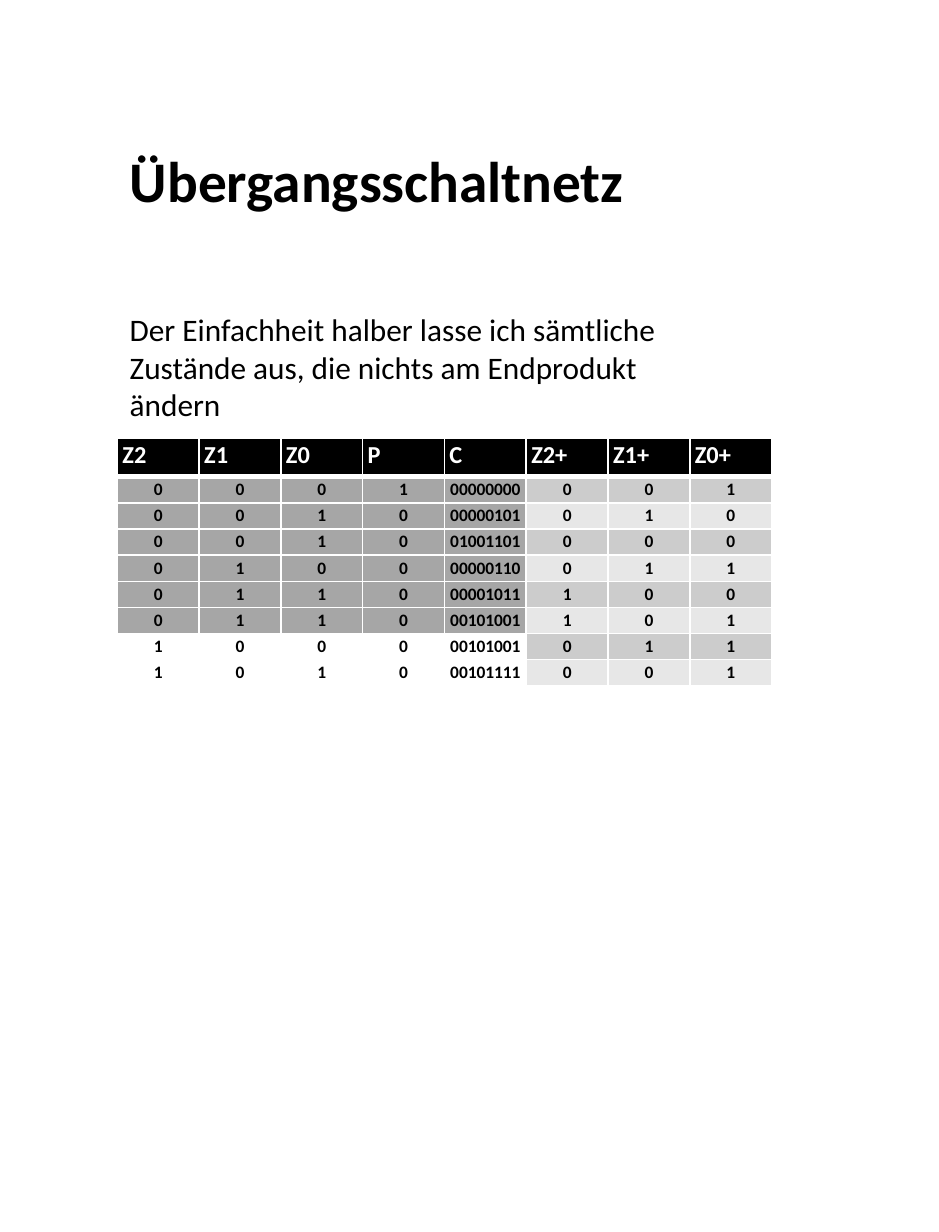
from lxml import etree
from pptx import Presentation
from pptx.dml.color import RGBColor
from pptx.enum.text import MSO_ANCHOR, PP_ALIGN
from pptx.oxml.ns import qn
from pptx.util import Pt

LEFT, CENTER = PP_ALIGN.LEFT, PP_ALIGN.CENTER
MIDDLE, TOP = MSO_ANCHOR.MIDDLE, MSO_ANCHOR.TOP
TITLE_ONLY = 5

HEADING = "Übergangsschaltnetz"
REMARK = ("Der Einfachheit halber lasse ich sämtliche Zustände aus, "
          "die nichts am Endprodukt ändern")
SIGNALS = ["Z2", "Z1", "Z0", "P", "C", "Z2+", "Z1+", "Z0+"]
TRANSITIONS = [
    ("0001", "00000000", "001"),
    ("0010", "00000101", "010"),
    ("0010", "01001101", "000"),
    ("0100", "00000110", "011"),
    ("0110", "00001011", "100"),
    ("0110", "00101001", "101"),
    ("1000", "00101001", "011"),
    ("1010", "00101111", "001"),
]
COLORS = {"ink": "000000", "paper": "FFFFFF", "low_state": "A6A6A6",
          "odd": "CCCCCC", "even": "E7E7E7"}
FONT = "Calibri"
MARGIN = 67.5
COLUMN_WIDTH, HEADER_HEIGHT, ROW_HEIGHT = 47.05, 22.2, 15.05
INPUT_COUNT = 5


def rgb(name):
    return RGBColor.from_string(COLORS[name])


def write(paragraph, text, size, color="ink", bold=False, align=LEFT):
    paragraph.alignment = align
    run = paragraph.add_run()
    run.text = text
    run.font.name = FONT
    run.font.size = Pt(size)
    run.font.bold = bold
    run.font.color.rgb = rgb(color)


def add_borders(cell, top, bottom):
    properties = cell._tc.get_or_add_tcPr()
    widths = {"lnL": 1, "lnR": 1, "lnT": top, "lnB": bottom}
    for position, (side, width) in enumerate(widths.items()):
        line = etree.Element(qn(f"a:{side}"), w=str(Pt(width)))
        solid = etree.SubElement(line, qn("a:solidFill"))
        etree.SubElement(solid, qn("a:srgbClr"), val=COLORS["paper"])
        properties.insert(position, line)


def cell_fill(row, column):
    if row == 0:
        return "ink"
    if column < INPUT_COUNT:
        return "low_state" if TRANSITIONS[row - 1][0][0] == "0" else "paper"
    return "odd" if row % 2 else "even"


presentation = Presentation()
presentation.slide_width, presentation.slide_height = Pt(540), Pt(708.5)
slide = presentation.slides.add_slide(presentation.slide_layouts[TITLE_ONLY])

heading = slide.shapes.title
heading.left, heading.top, heading.width, heading.height = (
    Pt(MARGIN), Pt(37.5), Pt(466), Pt(137))
heading.text_frame.vertical_anchor = MIDDLE
heading.text_frame.word_wrap = True
heading_line = heading.text_frame.paragraphs[0]
heading_line.line_spacing = 0.9
write(heading_line, HEADING, 33, bold=True)

rows = [SIGNALS] + [[*state, code, *successor]
                    for state, code, successor in TRANSITIONS]
transition_table = slide.shapes.add_table(
    len(rows), len(SIGNALS), Pt(MARGIN), Pt(252),
    Pt(COLUMN_WIDTH * len(SIGNALS)),
    Pt(HEADER_HEIGHT + ROW_HEIGHT * len(TRANSITIONS))).table
for column in transition_table.columns:
    column.width = Pt(COLUMN_WIDTH)
for row, values in enumerate(rows):
    is_header = row == 0
    transition_table.rows[row].height = Pt(HEADER_HEIGHT if is_header else ROW_HEIGHT)
    for column, value in enumerate(values):
        cell = transition_table.cell(row, column)
        cell.margin_left = cell.margin_right = Pt(2.9)
        cell.margin_top = cell.margin_bottom = Pt(1.4)
        cell.fill.solid()
        cell.fill.fore_color.rgb = rgb(cell_fill(row, column))
        add_borders(cell, 3 if row == 1 else 1, 3 if is_header else 1)
        write(cell.text_frame.paragraphs[0], value, 14 if is_header else 10,
              "paper" if is_header else "ink", True, LEFT if is_header else CENTER)

remark = slide.shapes.add_textbox(Pt(MARGIN), Pt(175), Pt(351), Pt(72.7)).text_frame
remark.word_wrap = True
remark.vertical_anchor = TOP
write(remark.paragraphs[0], REMARK, 18)

presentation.save("out.pptx")
